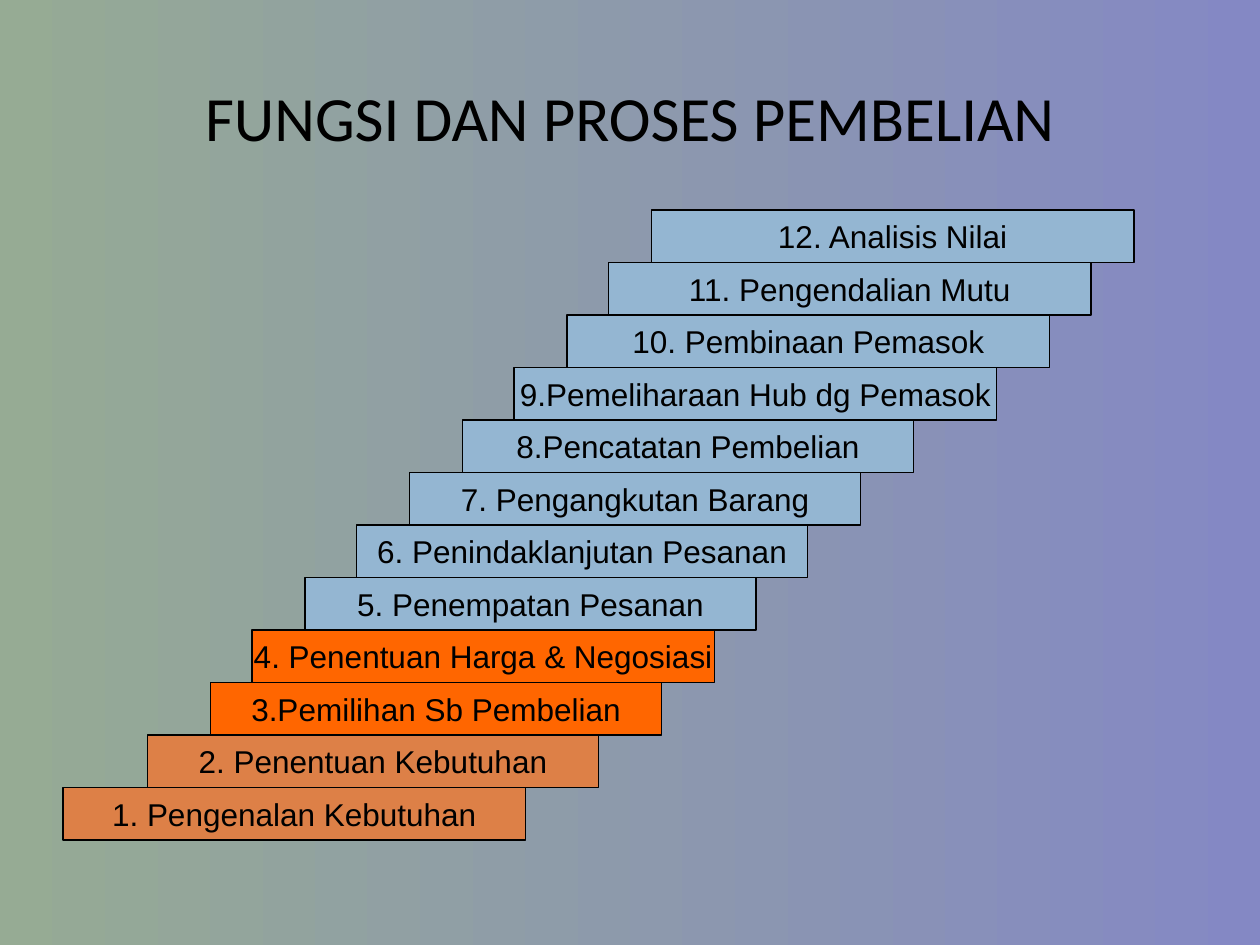
from pptx import Presentation
from pptx.dml.color import RGBColor
from pptx.enum.shapes import MSO_SHAPE
from pptx.enum.text import MSO_ANCHOR, PP_ALIGN
from pptx.util import Inches, Pt

RECTANGLE = MSO_SHAPE.RECTANGLE
MIDDLE = MSO_ANCHOR.MIDDLE
CENTER = PP_ALIGN.CENTER

BLACK = RGBColor(0x00, 0x00, 0x00)
BLUE = RGBColor(0x94, 0xB6, 0xD2)
ORANGE = RGBColor(0xFF, 0x66, 0x00)
COPPER = RGBColor(0xDD, 0x80, 0x47)
PURPLE = RGBColor(0x84, 0x88, 0xC4)
GREEN = RGBColor(0x96, 0xAB, 0x94)

TITLE = "FUNGSI DAN PROSES PEMBELIAN"
STEPS = [
    ("1. Pengenalan Kebutuhan", 0.5, 3.67, COPPER),
    ("2. Penentuan Kebutuhan", 1.17, 3.58, COPPER),
    ("3.Pemilihan Sb Pembelian", 1.67, 3.58, ORANGE),
    ("4. Penentuan Harga & Negosiasi", 2, 3.67, ORANGE),
    ("5. Penempatan Pesanan", 2.42, 3.58, BLUE),
    ("6. Penindaklanjutan Pesanan", 2.83, 3.58, BLUE),
    ("7. Pengangkutan Barang", 3.25, 3.58, BLUE),
    ("8.Pencatatan Pembelian", 3.67, 3.58, BLUE),
    ("9.Pemeliharaan Hub dg Pemasok", 4.08, 3.83, BLUE),
    ("10. Pembinaan Pemasok", 4.5, 3.83, BLUE),
    ("11. Pengendalian Mutu", 4.83, 3.83, BLUE),
    ("12. Analisis Nilai", 5.17, 3.83, BLUE),
]
FIRST_STEP_TOP = 6.25
STEP_HEIGHT = 5 / 12


def write_text(shape, text, font="Arial", size=18, color=BLACK, wrap=False):
    frame = shape.text_frame
    frame.word_wrap = wrap
    frame.vertical_anchor = MIDDLE
    para = frame.paragraphs[0]
    para.alignment = CENTER
    span = para.add_run()
    span.text = text
    span.font.name = font
    span.font.size = Pt(size)
    span.font.color.rgb = color


def paint_background(page):
    fill = page.background.fill
    fill.gradient()
    fill.gradient_angle = 180
    for stop, color in zip(fill.gradient_stops, (PURPLE, GREEN)):
        stop.color.rgb = color


def add_step(page, text, left, top, width, color):
    box = page.shapes.add_shape(
        RECTANGLE, Inches(left), Inches(top), Inches(width), Inches(STEP_HEIGHT)
    )
    box.shadow.inherit = False
    box.fill.solid()
    box.fill.fore_color.rgb = color
    box.line.color.rgb = BLACK
    box.line.width = Pt(0.75)
    write_text(box, text)


def main():
    deck = Presentation()
    deck.slide_width, deck.slide_height = Inches(10), Inches(7.5)
    page = deck.slides.add_slide(deck.slide_layouts.get_by_name("Title Only"))
    paint_background(page)

    title = page.shapes.title
    title.left, title.top = Inches(0.5), Inches(0.3)
    title.width, title.height = Inches(9), Inches(1.25)
    write_text(title, TITLE, font="Calibri", size=36, wrap=True)

    for index, (text, left, width, color) in enumerate(STEPS):
        top = FIRST_STEP_TOP - index * STEP_HEIGHT
        add_step(page, text, left, top, width, color)

    deck.save("out.pptx")


if __name__ == "__main__":
    main()
